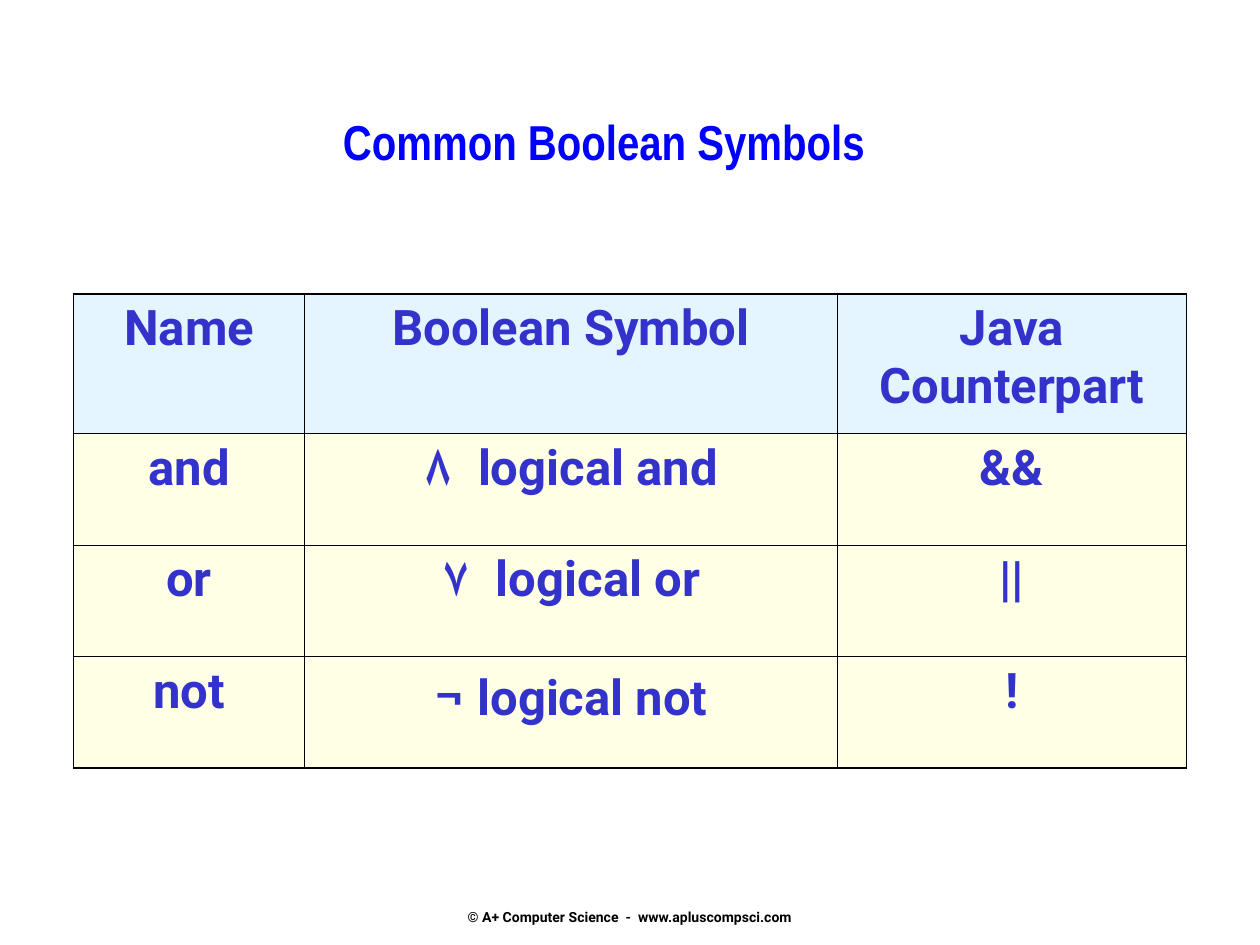
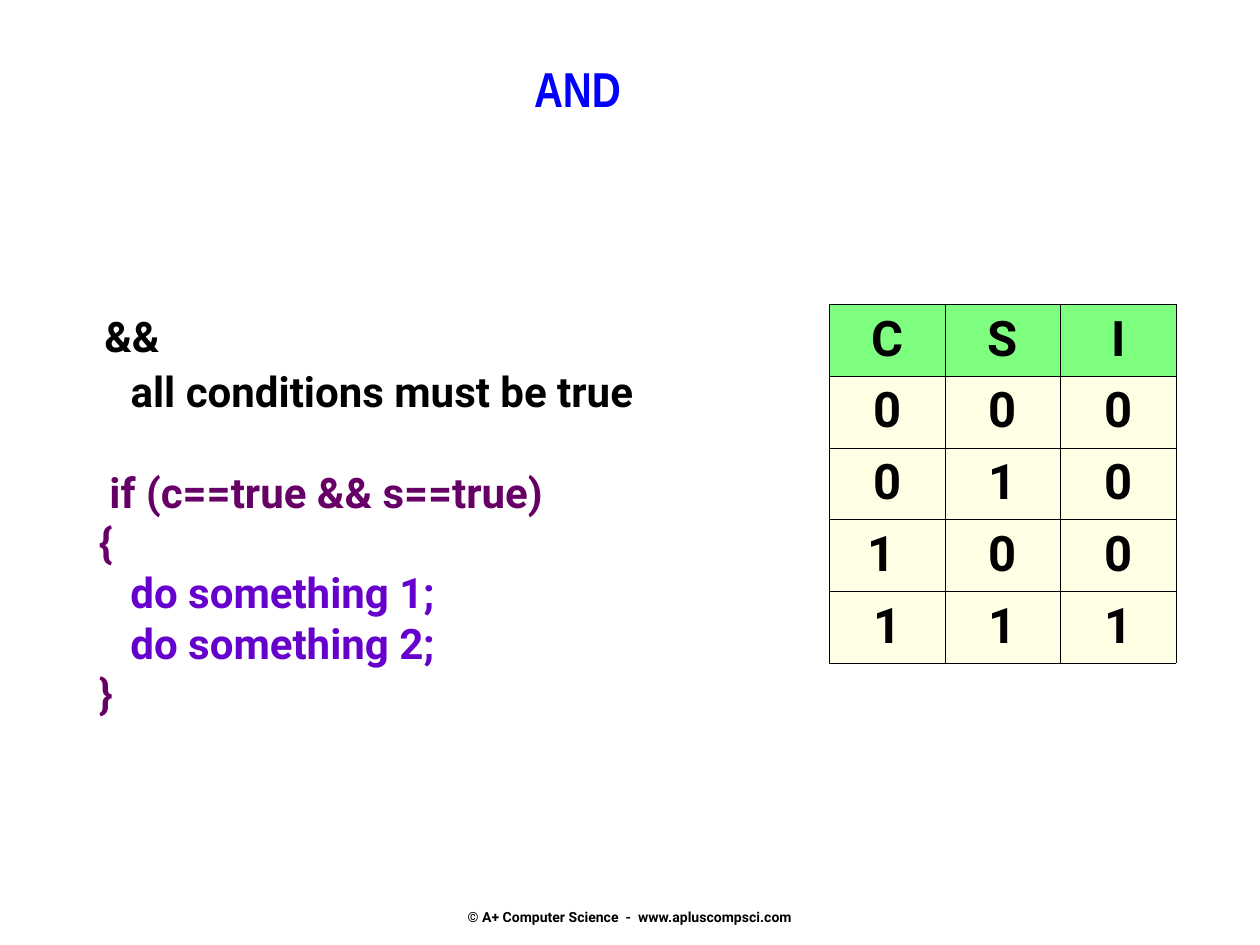
from dataclasses import dataclass

from lxml.etree import SubElement
from pptx import Presentation
from pptx.dml.color import RGBColor
from pptx.enum.text import MSO_ANCHOR, PP_ALIGN
from pptx.oxml.ns import qn
from pptx.util import Pt


@dataclass(frozen=True)
class Theme:
    title_font: str = "Arial Narrow"
    body_font: str = "Roboto"
    title: str = "0000FF"
    ink: str = "000000"
    symbol_ink: str = "3333CC"
    condition: str = "660066"
    action: str = "6600CC"
    symbol_header: str = "CCECFF"
    truth_header: str = "00FF00"
    body_fill: str = "FFFFCC"
    large: int = 28
    symbol: int = 32
    code: int = 24
    footer: int = 8
    thin: float = 0.45
    thick: float = 1.08


theme = Theme()


def add_run(paragraph, text, size, color, font=theme.body_font, gap_after=0):
    run = paragraph.add_run()
    run.text = text
    run.font.name = font
    run.font.size = Pt(size)
    run.font.bold = True
    run.font.color.rgb = RGBColor.from_string(color)
    if gap_after:
        run._r.get_or_add_rPr().set("spc", str(gap_after * 100))


def add_grid(slide, left, top, widths, heights, rows, header_fill, ink, outer):
    table = slide.shapes.add_table(
        len(heights), len(widths), Pt(left), Pt(top), Pt(sum(widths)), Pt(sum(heights))
    ).table
    table.first_row = table.horz_banding = False
    for column, width in zip(table.columns, widths):
        column.width = Pt(width)
    for r, (height, entries) in enumerate(zip(heights, rows)):
        table.rows[r].height = Pt(height)
        for c, runs in enumerate(entries):
            cell = table.cell(r, c)
            cell.margin_left = cell.margin_right = Pt(7.2)
            cell.margin_top = cell.margin_bottom = Pt(3.6)
            paragraph = cell.text_frame.paragraphs[0]
            paragraph.alignment = PP_ALIGN.CENTER
            for text, size, gap_after in runs:
                add_run(paragraph, text, size, ink, gap_after=gap_after)
            properties = cell._tc.get_or_add_tcPr()
            edges = {
                "a:lnL": c == 0,
                "a:lnR": c == len(widths) - 1,
                "a:lnT": r == 0,
                "a:lnB": r == len(heights) - 1,
            }
            for edge, is_outer in edges.items():
                width = outer if is_outer else theme.thin
                line = SubElement(properties, qn(edge), w=str(Pt(width)))
                SubElement(SubElement(line, qn("a:solidFill")), qn("a:srgbClr"), val=theme.ink)
            cell.fill.solid()
            cell.fill.fore_color.rgb = RGBColor.from_string(header_fill if r == 0 else theme.body_fill)
            tint = properties.find(qn("a:solidFill")).find(qn("a:srgbClr"))
            SubElement(tint, qn("a:alpha"), val="50000")
    return table


presentation = Presentation()
presentation.slide_width = Pt(720)
presentation.slide_height = Pt(540)

slides = []
for heading, left, top, width, height in [
    ("Common Boolean Symbols", 66, 60, 558, 60),
    ("AND", 138, 30, 384, 84),
]:
    slide = presentation.slides.add_slide(presentation.slide_layouts[6])
    slides.append(slide)

    footer = slide.shapes.add_textbox(Pt(246), Pt(493), Pt(228), Pt(36)).text_frame
    footer.word_wrap = True
    footer.vertical_anchor = MSO_ANCHOR.BOTTOM
    footer.margin_bottom = Pt(0)
    footer.paragraphs[0].alignment = PP_ALIGN.CENTER
    add_run(
        footer.paragraphs[0], "© A+ Computer Science  -  www.apluscompsci.com", theme.footer, theme.ink
    )

    title = slide.shapes.add_textbox(Pt(left), Pt(top), Pt(width), Pt(height)).text_frame
    title.word_wrap = True
    title.paragraphs[0].alignment = PP_ALIGN.CENTER
    add_run(title.paragraphs[0], heading, theme.large, theme.title, theme.title_font)

symbols_slide, and_slide = slides

symbol_rows = [[[(label, theme.large, 0)] for label in ("Name", "Boolean Symbol", "Java Counterpart")]]
for name, symbol, operator, gap in [("and", "۸", "&&", 7), ("or", "۷", "||", 7), ("not", "¬", "!", 0)]:
    symbol_rows.append([
        [(name, theme.large, 0)],
        [(symbol, theme.symbol, gap), (f" logical {name}", theme.large, 0)],
        [(operator, theme.large, 0)],
    ])
add_grid(
    symbols_slide, 42, 168, [132, 304.5, 199.5], [79.7] + [63.8] * 3,
    symbol_rows, theme.symbol_header, theme.symbol_ink, theme.thick,
)

truth_rows = [
    [[(value, theme.large, 0)] for value in row] for row in ("CSI", "000", "010", "100", "111")
]
truth_table = add_grid(
    and_slide, 474, 174, [66] * 3, [41] * 5,
    truth_rows, theme.truth_header, theme.ink, theme.thin,
)
truth_table.cell(3, 0).margin_right = Pt(14.2)

explanation = and_slide.shapes.add_textbox(Pt(43.5), Pt(162), Pt(361.5), Pt(252)).text_frame
explanation.word_wrap = True
explanation.margin_top = Pt(15.2)
for index, (text, color, indent, space_before) in enumerate([
    ("&&", theme.ink, 9, 0),
    ("all conditions must be true", theme.ink, 24, 3),
    ("  if (c==true && s==true)", theme.condition, 0, 28.6),
    (" {", theme.condition, 0, 0),
    ("    do something 1;", theme.action, 0, 0),
    ("    do something 2;", theme.action, 0, 0),
    (" }", theme.condition, 0, 0),
]):
    paragraph = explanation.paragraphs[0] if index == 0 else explanation.add_paragraph()
    paragraph.space_before = Pt(space_before)
    paragraph._p.get_or_add_pPr().set("marL", str(Pt(indent)))
    add_run(paragraph, text, theme.code, color)

presentation.save("out.pptx")
